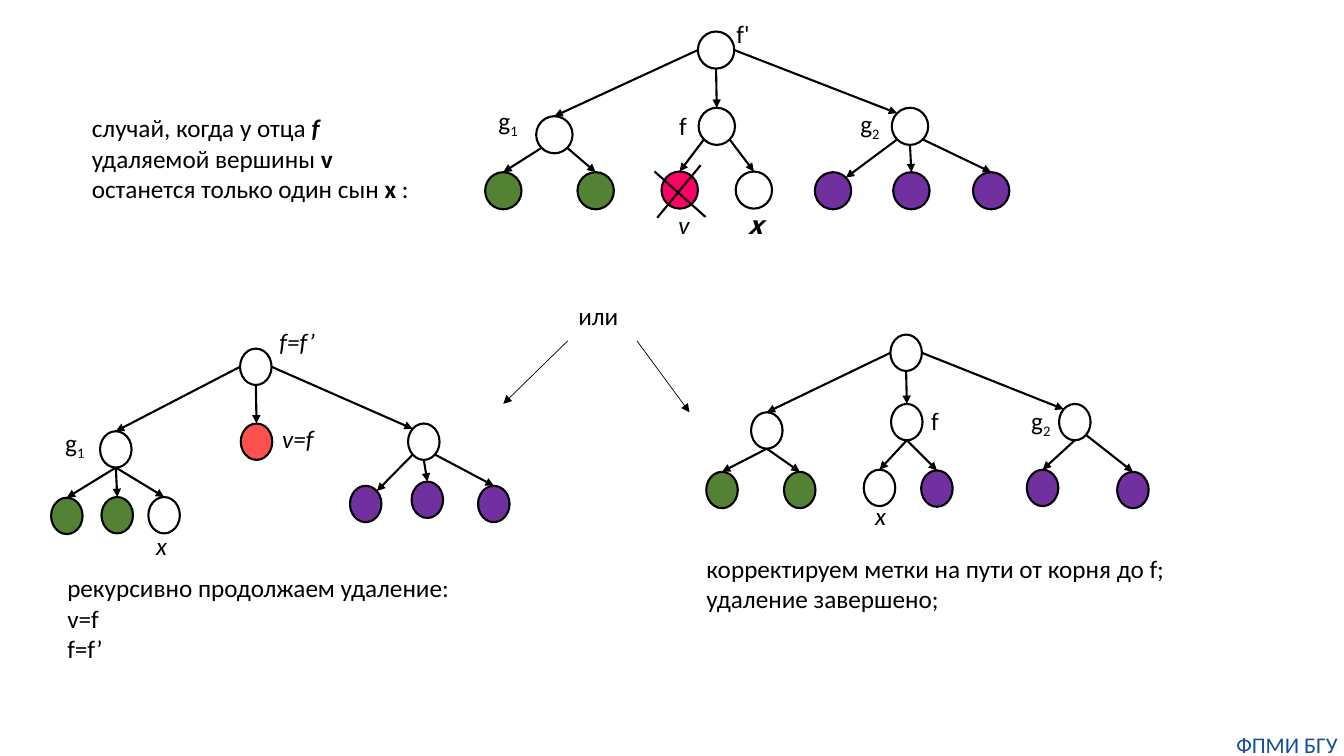
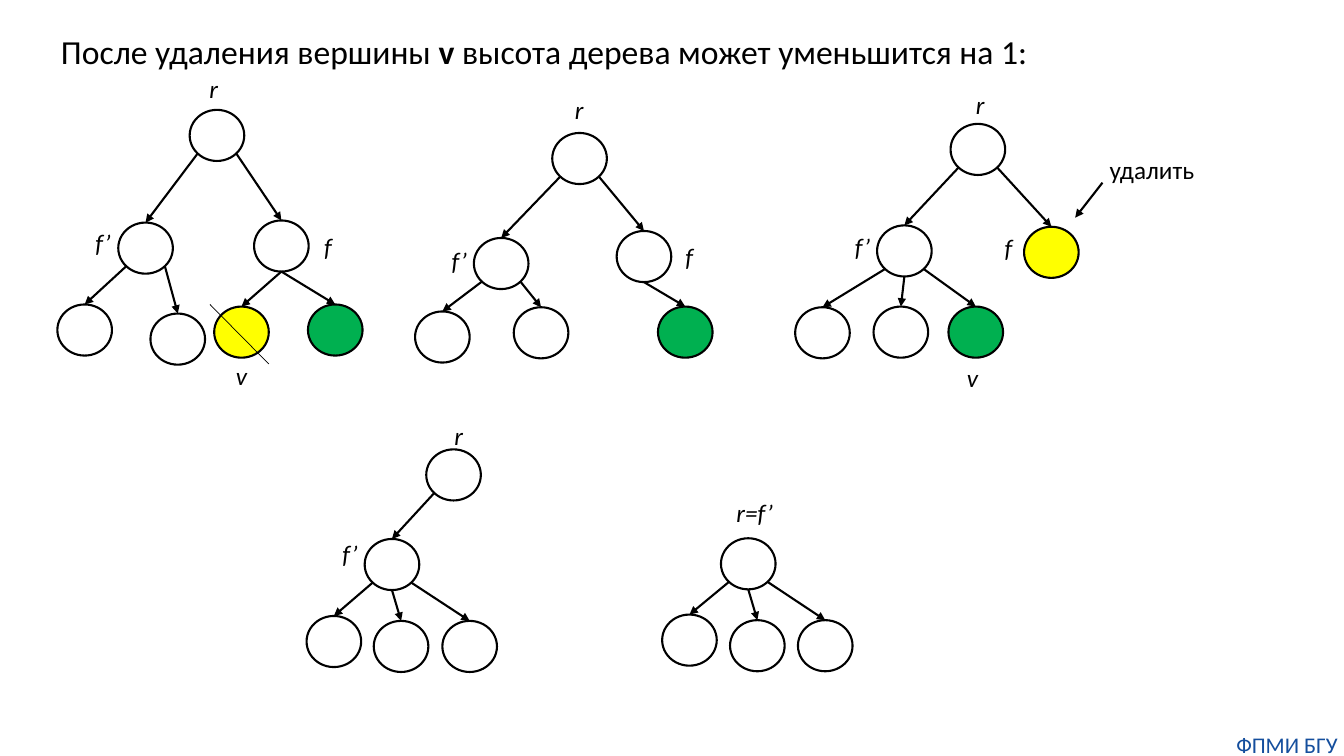
from math import sqrt

from lxml import etree
from pptx import Presentation
from pptx.dml.color import RGBColor
from pptx.enum import shapes, text
from pptx.oxml.ns import qn
from pptx.util import Pt

FONT, MONO = "Calibri", "Noto Sans Mono"
COLORS = {
    "black": "000000", "footer": "144E9D", "green": "548235", "purple": "7030A0",
    "pink": "FF0066", "red": "FF5050", "yellow": "FFFF00", "leaf": "00B050",
}
D = sqrt(0.5)
SITES = {
    "n": (0, -1), "ne": (D, -D), "e": (1, 0), "se": (D, D),
    "s": (0, 1), "sw": (-D, D), "w": (-1, 0), "nw": (-D, -D),
}


def add_line(s, start, end, width=1.5, arrow=True):
    cx = s.shapes.add_connector(
        shapes.MSO_CONNECTOR.STRAIGHT, *[Pt(v) for v in (*start, *end)])
    cx.line.width = Pt(width)
    cx.line.color.rgb = RGBColor.from_string(COLORS["black"])
    if arrow:
        etree.SubElement(cx.line._get_or_add_ln(), qn("a:tailEnd"), type="triangle")
    etree.SubElement(cx._element.spPr, qn("a:effectLst"))


def add_text(s, x, y, w, h, paragraphs, size=18, color="black"):
    """Add paragraphs of (text, style) runs; style holds b, i, m (mono), _ (subscript)."""
    box = s.shapes.add_textbox(Pt(x), Pt(y), Pt(w), Pt(h))
    tf = box.text_frame
    tf.word_wrap = True
    for i, runs in enumerate(paragraphs):
        p = tf.paragraphs[0] if i == 0 else tf.add_paragraph()
        for words, style in runs:
            r = p.add_run()
            r.text = words
            r.font.name = MONO if "m" in style else FONT
            r.font.size = Pt(size)
            r.font.bold = "b" in style
            r.font.italic = "i" in style
            r.font.color.rgb = RGBColor.from_string(COLORS[color])
            if "_" in style:
                r._r.get_or_add_rPr().set("baseline", "-25000")
    return tf


# Each tree: node size, nodes as (left, top, fill), edges as parent.site>child[.site]
MERGE_TREES = [
    ((26, 26.5), {
        "root": (498.5, 22.5, None), "f": (499, 77, None),
        "g1": (383, 83, None), "g2": (637, 77, None),
        "a": (346.5, 123, "green"), "b": (412.5, 123, "green"),
        "v": (472.5, 122.5, "pink"), "x": (525.5, 122.5, None),
        "c": (582, 123, "purple"), "d": (638, 123, "purple"), "e": (695, 123, "purple"),
    }, "root.w>g1 root.s>f root.e>g2.nw g1.sw>a g1.se>b f.sw>v f.se>x "
       "g2.sw>c.ne g2.s>d g2.se>e"),
    ((22.5, 26), {
        "root": (171.5, 249, None), "v": (172, 302.5, "red"),
        "g1": (71.5, 308, None), "g2": (291.5, 302.5, None),
        "a": (36.5, 355.5, "green"), "b": (72.5, 355, "green"), "x": (106, 355, None),
        "c": (250, 347, "purple"), "d": (294, 344, "purple"), "e": (341.5, 347, "purple"),
    }, "root.w>g1 root.s>v root.e>g2.nw g1.s>a g1.s>b g1.s>x "
       "g2.sw>c.ne g2.s>d g2.se>e"),
    ((22.5, 26), {
        "root": (636, 239, None), "f": (636.5, 288.5, None),
        "g1": (536.5, 294.5, None), "g2": (756.5, 288.5, None),
        "a": (504.5, 337, "green"), "b": (560, 337, "green"),
        "x": (617, 335.5, None), "c": (658, 336, "purple"),
        "d": (733.5, 335.5, "purple"), "e": (798, 337, "purple"),
    }, "root.w>g1 root.s>f root.e>g2.nw g1.s>a g1.s>b f.s>x f.s>c g2.s>d g2.se>e"),
]
NODE = (39, 36.5)
HEIGHT_TREES = [
    (NODE, {
        "r": (135.5, 78.5, None), "f'": (84.5, 159, None), "f": (181.5, 157.5, None),
        "a": (41, 217.5, None), "b": (107.5, 224, None),
        "v": (153, 219, "yellow"), "x": (220, 217.5, "leaf"),
    }, "r.sw>f' r.se>f f'.sw>a f'.se>b f.s>v f.s>x"),
    (NODE, {
        "r": (394.5, 95, None), "f'": (338.5, 170, None), "f": (440.5, 165, None),
        "a": (296.5, 222.5, None), "b": (367, 219.5, None), "x": (470, 219, "leaf"),
    }, "r.sw>f' r.se>f f'.sw>a f'.se>b f.s>x"),
    (NODE, {
        "r": (679, 88.5, None), "f'": (626.5, 161, None), "f": (731.5, 162, "yellow"),
        "a": (568, 219.5, None), "b": (624, 219, None), "v": (677.5, 219, "leaf"),
    }, "r.sw>f' r.se>f f'.sw>a f'.s>b f'.se>v"),
    (NODE, {
        "r": (304.5, 321, None), "f'": (260.5, 385, None),
        "a": (219, 440, None), "b": (267, 443.5, None), "c": (316, 443.5, None),
    }, "r.sw>f' f'.sw>a f'.s>b f'.se>c"),
    (NODE, {
        "r": (515, 384.5, None),
        "a": (473, 439, None), "b": (521.5, 443, None), "c": (570, 443, None),
    }, "r.sw>a r.s>b r.se>c"),
]

# Short labels: left, top, runs
MERGE_LABELS = [
    (519, 9.5, [("f'", "")]), (478, 75, [("f", "")]), (477.5, 146, [("v", "i")]),
    (527, 146, [("x", "bim")]), (349, 71.5, [("g", ""), ("1", "_")]),
    (607.5, 73.5, [("g", ""), ("2", "_")]), (39.5, 301.5, [("g", ""), ("1", "_")]),
    (729.5, 286, [("g", ""), ("2", "_")]), (194.5, 299, [("v=f", "i")]),
    (192.5, 229.5, [("f=f’", "i")]), (104.5, 375, [("x", "i")]),
    (618, 353.5, [("x", "i")]), (658, 286, [("f", "")]), (406, 211, [("или", "")]),
]
HEIGHT_LABELS = [
    (142.5, 48.5, [("r", "i")]), (61, 158.5, [("f’", "i")]), (224.5, 161.5, [("f", "i")]),
    (161.5, 253.5, [("v", "i")]), (403.5, 64, [("r", "i")]), (315.5, 171.5, [("f’", "i")]),
    (482.5, 168.5, [("f", "i")]), (690, 60, [("r", "i")]), (603.5, 161.5, [("f’", "i")]),
    (710.5, 162.5, [("f", "i")]), (683.5, 255, [("v", "i")]), (785.5, 106.5, [("удалить", "")]),
    (317.5, 296.5, [("r", "i")]), (237.5, 381, [("f’", "i")]), (519, 351.5, [("r=f’", "i")]),
]

prs = Presentation()
prs.slide_width, prs.slide_height = Pt(960), Pt(540)
slides = []
for trees, labels in ((MERGE_TREES, MERGE_LABELS), (HEIGHT_TREES, HEIGHT_LABELS)):
    s = prs.slides.add_slide(prs.slide_layouts[6])
    slides.append(s)
    for (w, h), nodes, edges in trees:
        for x, y, fill in nodes.values():
            sp = s.shapes.add_shape(
                shapes.MSO_SHAPE.OVAL, *[Pt(v) for v in (x, y, w, h)])
            sp.shadow.inherit = False
            sp.line.width = Pt(1.5)
            sp.line.color.rgb = RGBColor.from_string(COLORS["black"])
            if fill:
                sp.fill.solid()
                sp.fill.fore_color.rgb = RGBColor.from_string(COLORS[fill])
            else:
                sp.fill.background()
        for edge in edges.split():
            ends = []
            for end in edge.split(">"):
                name, _, site = end.partition(".")
                x, y, _ = nodes[name]
                dx, dy = SITES[site or "n"]
                ends.append((x + w / 2 * (1 + dx), y + h / 2 * (1 + dy)))
            add_line(s, *ends)
    for x, y, runs in labels:
        add_text(s, x, y, 80, 29, [runs])
    tf = add_text(s, 878.5, 522, 81.5, 19.5, [[("ФПМИ БГУ", "")]], 16, "footer")
    tf.margin_left = tf.margin_right = tf.margin_top = tf.margin_bottom = 0
    tf.word_wrap = False
    tf.paragraphs[0].alignment = text.PP_ALIGN.CENTER

merge, height = slides
add_text(merge, 58.5, 77, 244, 73, [[
    ("случай, когда у отца ", ""), ("f ", "bi"), ("удаляемой вершины ", ""), ("v", "b"),
    (" останется только один сын ", ""), ("x ", "b"), (":", "")]])
add_text(merge, 41, 405.5, 291, 73, [
    [("рекурсивно продолжаем удаление:", "")], [("v=f", "")], [("f=f’", "")]])
add_text(merge, 497.5, 391.5, 386, 51, [
    [("корректируем метки на пути от корня до f;", "")], [("удаление завершено;", "")]])
add_line(merge, (467.5, 122.5), (504, 155), arrow=False)
add_line(merge, (500.5, 118), (469.5, 155.5), arrow=False)
add_line(merge, (405.5, 243.5), (359.5, 288.5), 0.5)
add_line(merge, (455, 243.5), (492.5, 294.5), 0.5)

add_text(height, 36.5, 18.5, 723, 36, [[
    ("После удаления вершины ", ""), ("v ", "b"),
    ("высота дерева может уменьшится на 1:", "")]], 24)
add_line(height, (787.5, 130.5), (768, 155.5))
add_line(height, (150, 217.5), (192, 260), 0.5, arrow=False)

prs.save("out.pptx")
